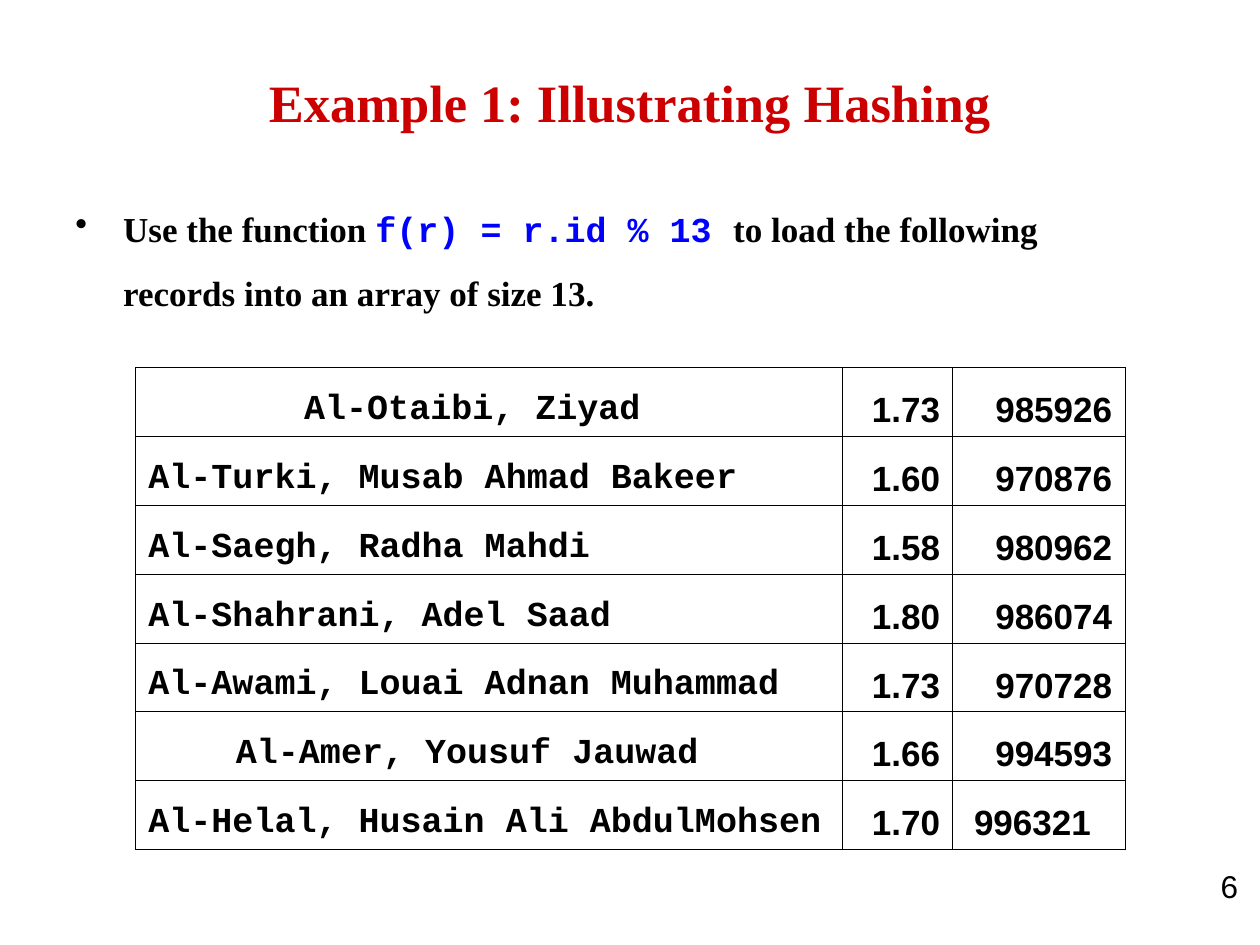
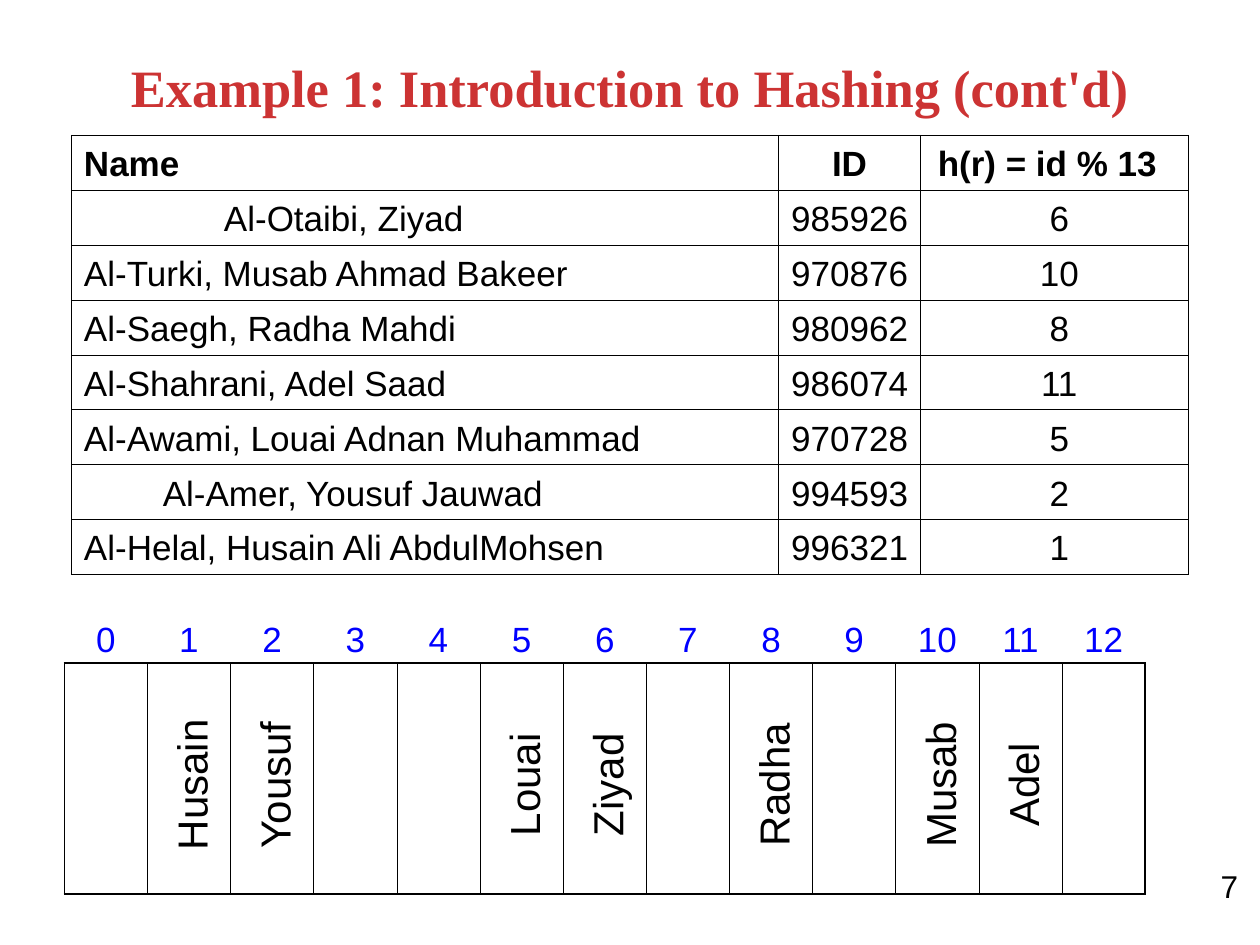
from dataclasses import dataclass
from lxml.etree import SubElement
from pptx import Presentation
from pptx.dml.color import RGBColor
from pptx.enum.text import MSO_ANCHOR, PP_ALIGN
from pptx.oxml import parse_xml
from pptx.oxml.ns import nsdecls, qn
from pptx.util import Pt


@dataclass(frozen=True)
class Style:
    font: str
    size: float
    color: str = "000000"
    bold: bool = False


@dataclass(frozen=True)
class Theme:
    line = "000000"
    thin = 0.45
    thick = 1.08
    titles = (
        Style("Times New Roman", 30, "CC0000", True),
        Style("Times New Roman", 30, "CC3333", True),
    )
    body = Style("Times New Roman", 20, bold=True)
    code = Style("Courier New", 20, "0000FF", True)
    record_name = Style("Courier New", 20, bold=True)
    strong = Style("Arial", 20, bold=True)
    plain = Style("Arial", 20)
    index = Style("Arial", 20, "0000FF")
    slot = Style("Arial", 24)
    page_number = Style("Arial", 18)


theme = Theme()


def write(paragraph, text, style, alignment=PP_ALIGN.LEFT, indent=0):
    paragraph.alignment = alignment
    if indent:
        paragraph._p.get_or_add_pPr().set("marL", str(Pt(indent)))
    run = paragraph.add_run()
    run.text = text
    run.font.name = style.font
    run.font.size = Pt(style.size)
    run.font.bold = style.bold
    run.font.color.rgb = RGBColor.from_string(style.color)


def add_grid(slide, left, top, widths, row_height, row_count, outer):
    frame = slide.shapes.add_table(
        row_count, len(widths), Pt(left), Pt(top), Pt(sum(widths)), Pt(row_height * row_count)
    )
    table = frame.table
    table.first_row = table.horz_banding = False
    for column, width in zip(table.columns, widths):
        column.width = Pt(width)
    for row_number, row in enumerate(table.rows):
        row.height = Pt(row_height)
        for column_number, cell in enumerate(row.cells):
            cell.fill.background()
            cell.vertical_anchor = MSO_ANCHOR.BOTTOM
            on_edge = {
                "lnL": column_number == 0,
                "lnR": column_number == len(widths) - 1,
                "lnT": row_number == 0,
                "lnB": row_number == row_count - 1,
            }
            for position, (side, edge) in enumerate(on_edge.items()):
                width = Pt(outer if edge else theme.thin)
                border = parse_xml(
                    f'<a:{side} {nsdecls("a")} w="{width}"><a:solidFill>'
                    f'<a:srgbClr val="{theme.line}"/></a:solidFill></a:{side}>'
                )
                cell._tc.get_or_add_tcPr().insert(position, border)
    return table


presentation = Presentation()
presentation.slide_width = Pt(720)
presentation.slide_height = Pt(540)

headings = (
    ("Example 1: Illustrating Hashing", 73),
    ("Example 1: Introduction to Hashing (cont'd)", 55.5),
)
slides = []
for page, ((title, height), style) in enumerate(zip(headings, theme.titles), start=6):
    slide = presentation.slides.add_slide(presentation.slide_layouts[6])
    slides.append(slide)
    shape = slide.shapes.add_textbox(Pt(36), Pt(21.6), Pt(648), Pt(height))
    shape.text_frame.word_wrap = True
    shape.text_frame.vertical_anchor = MSO_ANCHOR.MIDDLE
    write(shape.text_frame.paragraphs[0], title, style, PP_ALIGN.CENTER)
    shape = slide.shapes.add_textbox(Pt(618.5), Pt(492), Pt(96), Pt(29))
    shape.text_frame.word_wrap = True
    write(shape.text_frame.paragraphs[0], str(page), theme.page_number, PP_ALIGN.RIGHT)
records_slide, hashing_slide = slides

records = (
    ("Al-Otaibi, Ziyad", "1.73", 985926),
    ("Al-Turki, Musab Ahmad Bakeer", "1.60", 970876),
    ("Al-Saegh, Radha Mahdi", "1.58", 980962),
    ("Al-Shahrani, Adel Saad", "1.80", 986074),
    ("Al-Awami, Louai Adnan Muhammad", "1.73", 970728),
    ("Al-Amer, Yousuf Jauwad", "1.66", 994593),
    ("Al-Helal, Husain Ali AbdulMohsen", "1.70", 996321),
)
slot_count = 13

shape = records_slide.shapes.add_textbox(Pt(36), Pt(115), Pt(648), Pt(82))
shape.text_frame.word_wrap = True
instruction = shape.text_frame.paragraphs[0]
properties = instruction._p.get_or_add_pPr()
properties.set("indent", str(Pt(-27.3)))
SubElement(properties, qn("a:buChar")).set("char", "•")
write(instruction, "Use the function ", theme.body, indent=27.3)
write(instruction, "f(r) = r.id % 13 ", theme.code, indent=27.3)
write(instruction, "to load the following", theme.body, indent=27.3)
continuation = shape.text_frame.add_paragraph()
continuation.space_before = Pt(12.5)
write(continuation, "records into an array of size 13.", theme.body, indent=27.3)

name_indents = {0: 89, 5: 50}
table = add_grid(records_slide, 77.6, 210, (404, 62.8, 98.4), 39.36, len(records), theme.thin)
for number, (name, height, identifier) in enumerate(records):
    name_cell, height_cell, identifier_cell = (
        cell.text_frame.paragraphs[0] for cell in table.rows[number].cells
    )
    write(name_cell, name, theme.record_name, indent=name_indents.get(number, 0))
    write(height_cell, height, theme.strong, PP_ALIGN.RIGHT)
    if number == len(records) - 1:
        write(identifier_cell, str(identifier), theme.strong, indent=5)
    else:
        write(identifier_cell, str(identifier), theme.strong, PP_ALIGN.RIGHT)

slot_width = 47.52
array_left = 36.8
add_grid(hashing_slide, array_left, 378.8, [slot_width] * slot_count, 132, 1, theme.thick)

shape = hashing_slide.shapes.add_textbox(
    Pt(array_left), Pt(349.5), Pt(slot_width * slot_count), Pt(31.5)
)
shape.text_frame.word_wrap = True
indexes = shape.text_frame.paragraphs[0]
tab_list = SubElement(indexes._p.get_or_add_pPr(), qn("a:tabLst"))
for slot in range(slot_count):
    tab = SubElement(tab_list, qn("a:tab"))
    tab.set("pos", str(Pt(slot_width * (slot + 0.5) - 7.2)))
    tab.set("algn", "ctr")
write(indexes, "".join(f"\t{slot}" for slot in range(slot_count)), theme.index)

stored = {
    1: "Husain", 2: "Yousuf", 5: "Louai", 6: "Ziyad", 8: "Radha", 10: "Musab", 11: "Adel",
}
label_width, label_height = 102, 36
for slot, name in stored.items():
    center = array_left + slot_width * (slot + 0.5) + 1
    shape = hashing_slide.shapes.add_textbox(
        Pt(center - label_width / 2), Pt(430.5), Pt(label_width), Pt(label_height)
    )
    shape.rotation = 270
    shape.text_frame.word_wrap = True
    write(shape.text_frame.paragraphs[0], name, theme.slot, PP_ALIGN.CENTER)

name_indents = {1: 80, 6: 45}
table = add_grid(
    hashing_slide, 40.8, 77.3, (404, 81.4, 152.8), 31.4, len(records) + 1, theme.thin
)
header = [cell.text_frame.paragraphs[0] for cell in table.rows[0].cells]
write(header[0], "Name", theme.strong)
write(header[1], "ID", theme.strong, PP_ALIGN.CENTER)
write(header[2], "h(r) = id % 13", theme.strong, indent=2.5)
for number, (name, _, identifier) in enumerate(records, start=1):
    name_cell, identifier_cell, hash_cell = (
        cell.text_frame.paragraphs[0] for cell in table.rows[number].cells
    )
    write(name_cell, name, theme.plain, indent=name_indents.get(number, 0))
    write(identifier_cell, str(identifier), theme.plain, PP_ALIGN.RIGHT)
    write(hash_cell, str(identifier % slot_count), theme.plain, PP_ALIGN.CENTER, 5.5)

presentation.save("out.pptx")
